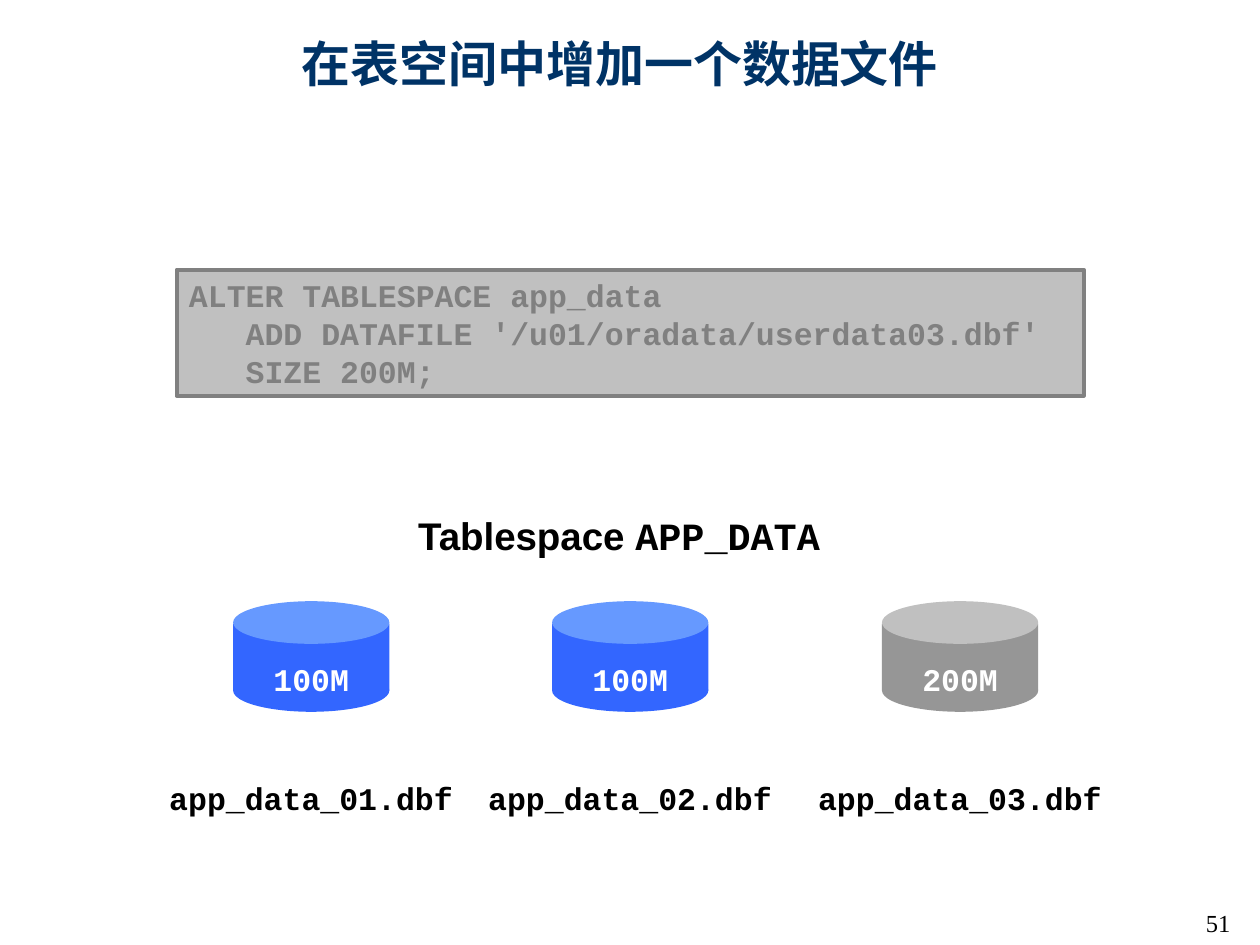
from dataclasses import dataclass

from lxml import etree
from pptx import Presentation
from pptx import util as u
from pptx.dml.color import RGBColor
from pptx.enum import shapes, text
from pptx.oxml import ns

COLORS = {
    "title": "003366",
    "title_shadow": "C0C0C0",
    "black": "000000",
    "white": "FFFFFF",
    "code_fill": "C0C0C0",
    "code": "808080",
    "blue": "3366FF",
    "light_blue": "6699FF",
    "gray": "969696",
    "light_gray": "C0C0C0",
}
MONO = "Courier New"
LINE_FACTOR = 1.2


@dataclass
class Box:
    left: float
    top: float
    width: float
    height: float

    def lengths(self) -> tuple:
        return tuple(u.Cm(n) for n in (self.left, self.top, self.width, self.height))


@dataclass
class Style:
    size: float
    color: str
    font: str = MONO
    bold: bool = True


@dataclass
class DataFile:
    left: float
    capacity: str
    name: str
    body: str
    lid: str


DATA_FILES = [
    DataFile(4.7, "100M", "app_data_01.dbf", "blue", "light_blue"),
    DataFile(11.13, "100M", "app_data_02.dbf", "blue", "light_blue"),
    DataFile(17.78, "200M", "app_data_03.dbf", "gray", "light_gray"),
]
CODE_LINES = [
    "ALTER TABLESPACE app_data",
    "   ADD DATAFILE '/u01/oradata/userdata03.dbf'",
    "   SIZE 200M;",
]


def add_run(paragraph, content: str, style: Style):
    run = paragraph.add_run()
    run.text = content
    run.font.size = u.Pt(style.size)
    run.font.name = style.font
    run.font.bold = style.bold
    run.font.color.rgb = RGBColor.from_string(COLORS[style.color])
    return run


def add_text(parent, box: Box, pieces: list, align=text.PP_ALIGN.CENTER, margin: bool = True):
    frame = parent.add_textbox(*box.lengths()).text_frame
    frame.word_wrap = False
    if not margin:
        frame.margin_left = frame.margin_right = frame.margin_top = frame.margin_bottom = 0
    paragraph = frame.paragraphs[0]
    paragraph.alignment = align
    paragraph.line_spacing = u.Pt(pieces[0][1].size * LINE_FACTOR)
    for content, style in pieces:
        add_run(paragraph, content, style)


def add_filled(parent, kind, box: Box, color: str):
    shape = parent.add_shape(kind, *box.lengths())
    shape.shadow.inherit = False
    shape.fill.solid()
    shape.fill.fore_color.rgb = RGBColor.from_string(COLORS[color])
    shape.line.fill.background()
    return shape


def add_title(slide, content: str) -> None:
    title = slide.shapes.title
    title.left, title.top, title.width, title.height = Box(1.7, 0.53, 21.59, 1.47).lengths()
    title.text_frame.vertical_anchor = text.MSO_ANCHOR.MIDDLE
    paragraph = title.text_frame.paragraphs[0]
    paragraph.alignment = text.PP_ALIGN.CENTER
    run = add_run(paragraph, content, Style(28, "title", "Arial"))
    effects = etree.Element(ns.qn("a:effectLst"))
    shadow = etree.SubElement(effects, ns.qn("a:outerShdw"), dist="25400", dir="2700000")
    etree.SubElement(shadow, ns.qn("a:srgbClr"), val=COLORS["title_shadow"])
    run.font._element.find(ns.qn("a:solidFill")).addnext(effects)


def add_code(slide, lines: list[str]) -> None:
    panel = add_filled(slide.shapes, shapes.MSO_SHAPE.RECTANGLE,
                       Box(3.56, 5.44, 18.29, 2.54), "code_fill")
    panel.line.color.rgb = RGBColor.from_string(COLORS["code"])
    panel.line.width = u.Pt(2.25)
    frame = panel.text_frame
    frame.word_wrap = True
    frame.vertical_anchor = text.MSO_ANCHOR.TOP
    for index, line in enumerate(lines):
        paragraph = frame.add_paragraph() if index else frame.paragraphs[0]
        paragraph.alignment = text.PP_ALIGN.LEFT
        paragraph.line_spacing = u.Pt(18 * LINE_FACTOR)
        add_run(paragraph, line, Style(18, "code"))


def add_data_file(slide, item: DataFile) -> None:
    cylinder = slide.shapes.add_group_shape().shapes
    oval = shapes.MSO_SHAPE.OVAL
    add_filled(cylinder, shapes.MSO_SHAPE.RECTANGLE,
               Box(item.left, 12.57, 3.15, 1.35), item.body)
    add_filled(cylinder, oval, Box(item.left, 12.12, 3.15, 0.86), item.lid)
    add_filled(cylinder, oval, Box(item.left, 13.49, 3.15, 0.86), item.body)
    add_text(cylinder, Box(item.left + 0.56, 13.18, 2.03, 1.02),
             [(item.capacity, Style(18, "white"))])
    add_text(slide.shapes, Box(item.left - 1.54, 15.57, 6.22, 1.02),
             [(item.name, Style(18, "black"))])


def main() -> None:
    presentation = Presentation()
    presentation.slide_width = u.Cm(25.4)
    presentation.slide_height = u.Cm(19.05)
    slide = presentation.slides.add_slide(presentation.slide_layouts[5])
    add_title(slide, "在表空间中增加一个数据文件")
    add_code(slide, CODE_LINES)
    add_text(slide.shapes, Box(8.15, 10.19, 8.66, 1.19),
             [("Tablespace ", Style(22, "black", "Arial")), ("APP_DATA", Style(22, "black"))])
    for item in DATA_FILES:
        add_data_file(slide, item)
    add_text(slide.shapes, Box(24.31, 18.31, 0.84, 0.58),
             [("51", Style(14, "black", "Times New Roman", False))],
             text.PP_ALIGN.LEFT, margin=False)
    presentation.save("out.pptx")


if __name__ == "__main__":
    main()
